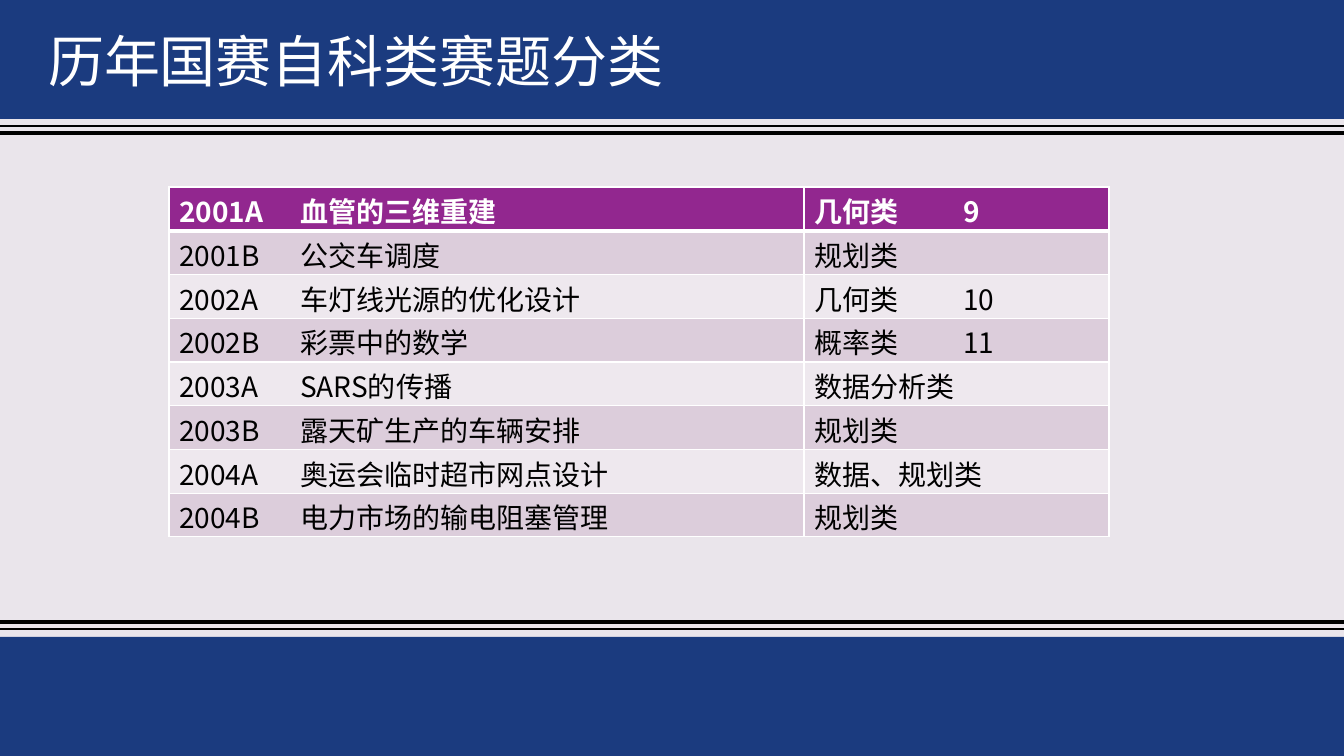
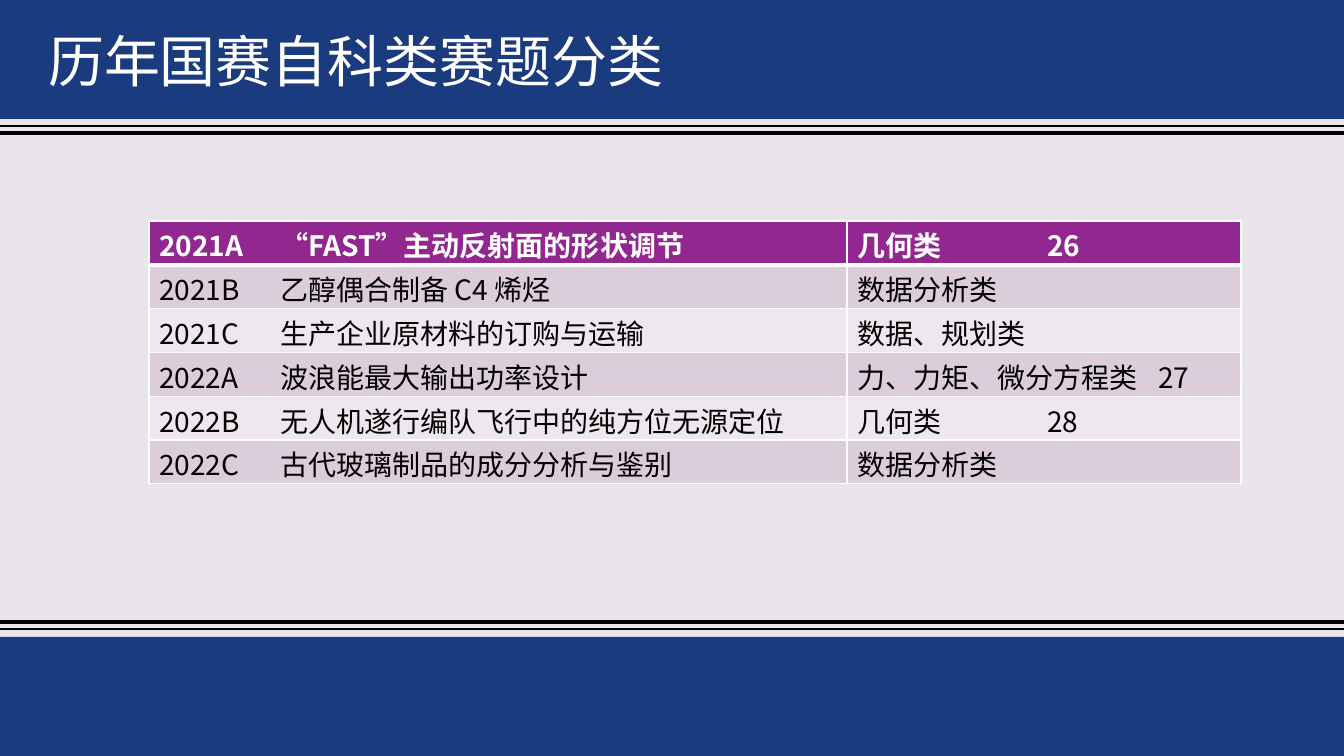
from lxml.etree import SubElement
from pptx import Presentation
from pptx.dml.color import RGBColor
from pptx.enum.shapes import MSO_CONNECTOR as CONNECTOR, MSO_SHAPE as SHAPE
from pptx.enum.text import MSO_ANCHOR as ANCHOR, MSO_AUTO_SIZE as AUTO_SIZE, PP_ALIGN as ALIGN
from pptx.oxml import parse_xml
from pptx.oxml.ns import nsdecls, qn
from pptx.util import Inches, Pt

SCALE = Inches(1) / 100.8
WIDTH, HEIGHT = 1344, 756
BAND_HEIGHT = 119
FONT = "Noto Sans CJK SC"
TITLE = "历年国赛自科类赛题分类"
COLORS = {
    "background": "EAE5EB",
    "band": "1B3B7F",
    "rule": "000000",
    "header": "92278F",
    "odd": "DCCDDB",
    "even": "EEE8EE",
    "light": "FFFFFF",
    "dark": "000000",
}

# Tabs part the year code from the topic, and the category from its number
TABLES = [
    {
        "box": (169, 187, 940, 350),
        "columns": (635, 305),
        "tabs": ((121,), (149,)),
        "rows": [
            ("2001A\t血管的三维重建", "几何类\t9"),
            ("2001B\t公交车调度", "规划类"),
            ("2002A\t车灯线光源的优化设计", "几何类\t10"),
            ("2002B\t彩票中的数学", "概率类\t11"),
            ("2003A\tSARS的传播", "数据分析类"),
            ("2003B\t露天矿生产的车辆安排", "规划类"),
            ("2004A\t奥运会临时超市网点设计", "数据、规划类"),
            ("2004B\t电力市场的输电阻塞管理", "规划类"),
        ],
    },
    {
        "box": (149, 221, 1092, 263),
        "columns": (698, 394),
        "tabs": ((121,), (190, 301)),
        "rows": [
            ("2021A\t“FAST”主动反射面的形状调节", "几何类\t26"),
            ("2021B\t乙醇偶合制备 C4 烯烃", "数据分析类"),
            ("2021C\t生产企业原材料的订购与运输", "数据、规划类"),
            ("2022A\t波浪能最大输出功率设计", "力、力矩、微分方程类\t27"),
            ("2022B\t无人机遂行编队飞行中的纯方位无源定位", "几何类\t28"),
            ("2022C\t古代玻璃制品的成分分析与鉴别", "数据分析类"),
        ],
    },
]


def px(length):
    return round(length * SCALE)


def write_text(paragraph, text, size, color, bold=False, tabs=()):
    paragraph.alignment = ALIGN.LEFT
    if tabs:
        tab_list = SubElement(paragraph._p.get_or_add_pPr(), qn("a:tabLst"))
        for position in tabs:
            SubElement(tab_list, qn("a:tab"), pos=str(px(position)), algn="l")
    run = paragraph.add_run()
    run.text = text
    run.font.size = Pt(size)
    run.font.bold = bold
    run.font.name = FONT
    run.font.color.rgb = RGBColor.from_string(COLORS[color])
    SubElement(run.font._element, qn("a:ea"), typeface=FONT)


presentation = Presentation()
presentation.slide_width, presentation.slide_height = px(WIDTH), px(HEIGHT)

# Shared layout: background and title place
layout = presentation.slide_layouts.get_by_name("Title Only")
layout.background.fill.solid()
layout.background.fill.fore_color.rgb = RGBColor.from_string(COLORS["background"])
for placeholder in list(layout.placeholders):
    if placeholder.placeholder_format.idx:
        placeholder.element.getparent().remove(placeholder.element)
layout_title = layout.placeholders[0]
layout_title.left, layout_title.top = px(38), px(21)
layout_title.width, layout_title.height = px(854), px(78)

slides = [presentation.slides.add_slide(layout) for table_data in TABLES]

# Shared bands and rules, drawn once and moved to the layout
decorations = []
for y, weight in ((622, 3), (629, 1), (133, 3), (126, 1)):
    rule = slides[0].shapes.add_connector(CONNECTOR.STRAIGHT, 0, px(y), px(WIDTH), px(y))
    rule.line.color.rgb = RGBColor.from_string(COLORS["rule"])
    rule.line.width = Pt(weight)
    SubElement(rule.element.spPr, qn("a:effectLst"))
    decorations.append(rule)
for y in (0, HEIGHT - BAND_HEIGHT):
    band = slides[0].shapes.add_shape(SHAPE.RECTANGLE, 0, px(y), px(WIDTH), px(BAND_HEIGHT))
    band.shadow.inherit = False
    band.fill.solid()
    band.fill.fore_color.rgb = RGBColor.from_string(COLORS["band"])
    band.line.fill.background()
    decorations.append(band)
for shape in decorations:
    layout_title.element.addprevious(shape.element)

for slide, table_data in zip(slides, TABLES):
    # Title
    title_frame = slide.shapes.title.text_frame
    title_frame.auto_size = AUTO_SIZE.NONE
    title_frame.vertical_anchor = ANCHOR.MIDDLE
    write_text(title_frame.paragraphs[0], TITLE, size=40, color="light")

    # Table
    rows = table_data["rows"]
    box = [px(length) for length in table_data["box"]]
    table = slide.shapes.add_table(len(rows), 2, *box).table
    for column, width in zip(table.columns, table_data["columns"]):
        column.width = px(width)

    for row_index, row in enumerate(rows):
        is_header = row_index == 0
        fill = "header" if is_header else ("even", "odd")[row_index % 2]
        for column_index, text in enumerate(row):
            cell = table.cell(row_index, column_index)
            cell.margin_top, cell.margin_bottom = px(3), 0
            cell.vertical_anchor = ANCHOR.BOTTOM
            cell.fill.solid()
            cell.fill.fore_color.rgb = RGBColor.from_string(COLORS[fill])
            write_text(
                cell.text_frame.paragraphs[0], text, size=20,
                color="light" if is_header else "dark", bold=is_header,
                tabs=table_data["tabs"][column_index] if "\t" in text else (),
            )

            # Borders, thicker between the header and the first row
            weights = {"L": 1, "R": 1, "T": 3 if row_index == 1 else 1, "B": 3 if is_header else 1}
            for position, (side, weight) in enumerate(weights.items()):
                border = parse_xml(
                    f'<a:ln{side} {nsdecls("a")} w="{Pt(weight)}"><a:solidFill>'
                    f'<a:srgbClr val="{COLORS["light"]}"/></a:solidFill></a:ln{side}>'
                )
                cell._tc.get_or_add_tcPr().insert(position, border)

presentation.save("out.pptx")
